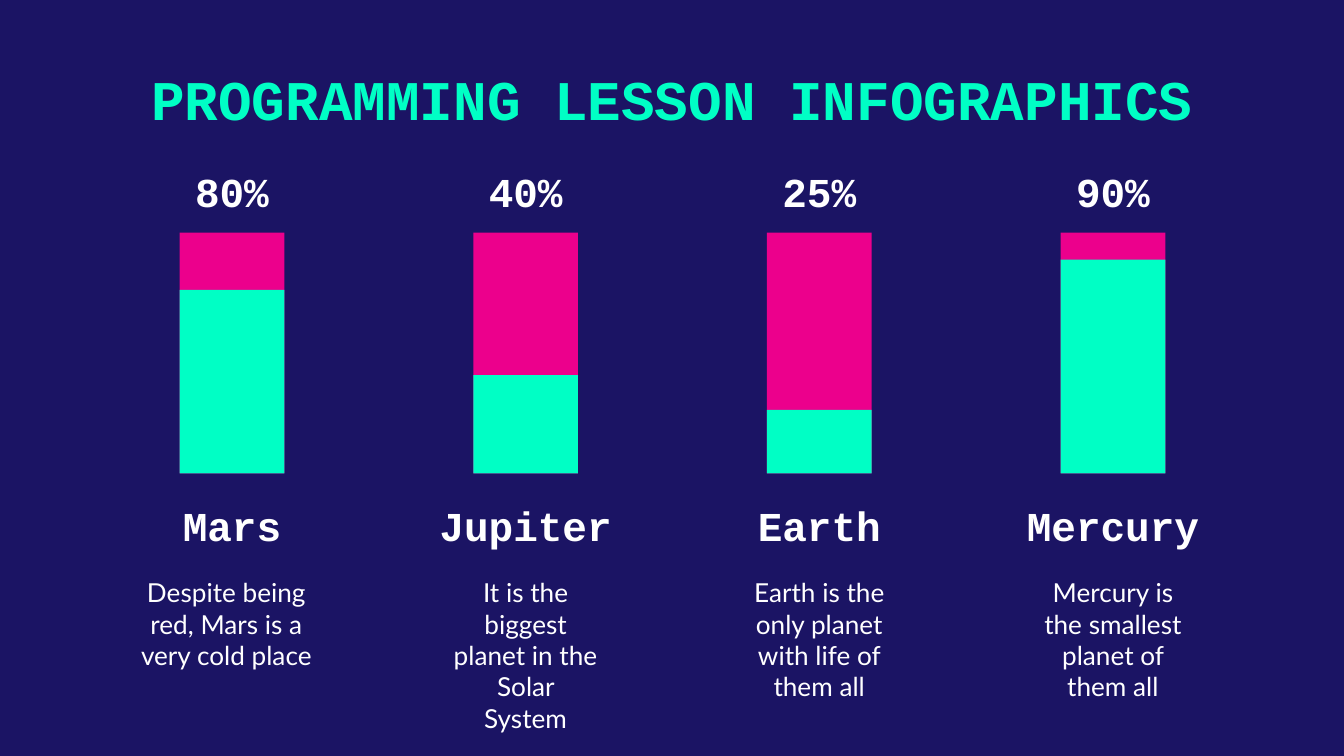
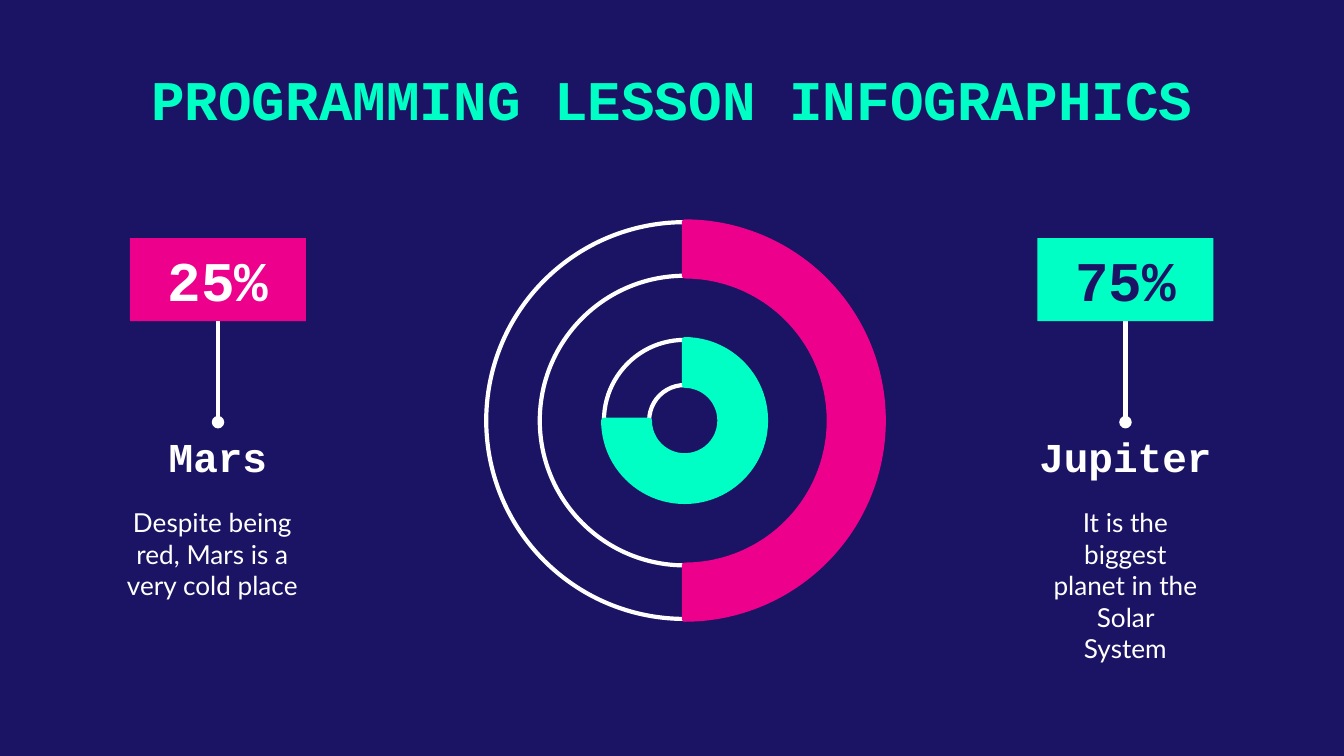
from dataclasses import dataclass
from typing import NamedTuple

from lxml.etree import SubElement
from pptx import Presentation
from pptx.dml.color import RGBColor
from pptx.enum.shapes import MSO_CONNECTOR as Link, MSO_SHAPE as Shape
from pptx.enum.text import MSO_ANCHOR as Anchor, MSO_AUTO_SIZE as AutoSize, PP_ALIGN as Align
from pptx.oxml.ns import qn
from pptx.util import Cm, Pt


@dataclass(frozen=True)
class Theme:
    """Colours, fonts, type sizes and line weights of the deck."""
    navy: RGBColor = RGBColor(0x1B, 0x14, 0x64)
    mint: RGBColor = RGBColor(0x00, 0xFF, 0xC5)
    pink: RGBColor = RGBColor(0xEC, 0x00, 0x8C)
    white: RGBColor = RGBColor(0xFF, 0xFF, 0xFF)
    display: str = "Courier New"
    text: str = "Lato"
    large: float = 30
    medium: float = 22
    small: float = 14
    rule: float = 2.25
    arc: float = 3


class Box(NamedTuple):
    """A rectangle in centimetres."""
    left: float
    top: float
    width: float
    height: float

    def inner(self, top, height, width=None):
        """Return a horizontally centred box at an offset from the top."""
        width = width or self.width
        return Box(self.left + (self.width - width) / 2, self.top + top, width, height)

    def lengths(self):
        """Return the four values as lengths."""
        return [Cm(value) for value in self]


class Planet(NamedTuple):
    """A planet's name, its description and the side insets of the description."""
    name: str
    about: str
    insets: tuple = (0.76, 0.76)


THEME = Theme()
PAD = 0.25
TITLE = "PROGRAMMING LESSON INFOGRAPHICS"
MARS = Planet("Mars", "Despite being red, Mars is a very cold place", (PAD, 0.46))
JUPITER = Planet("Jupiter", "It is the biggest planet in the Solar System")
EARTH = Planet("Earth", "Earth is the only planet with life of them all")
MERCURY = Planet("Mercury", "Mercury is the smallest planet of them all")


def write(frame, text, size, color, anchor=Anchor.TOP, font=THEME.display,
          sides=(PAD, PAD), ends=PAD):
    """Fill a text frame with one centred run."""
    frame.word_wrap = True
    frame.auto_size = AutoSize.NONE
    frame.vertical_anchor = anchor
    frame.margin_left, frame.margin_right = (Cm(side) for side in sides)
    frame.margin_top = frame.margin_bottom = Cm(ends)
    para = frame.paragraphs[0]
    para.alignment = Align.CENTER
    span = para.add_run()
    span.text = text
    span.font.name = font
    span.font.size = Pt(size)
    span.font.bold = font == THEME.display
    span.font.color.rgb = color


def add_text(shapes, box, text, size, **style):
    """Add a white text box."""
    frame = shapes.add_textbox(*box.lengths()).text_frame
    write(frame, text, size, THEME.white, **style)


def add_figure(shapes, kind, box, fill=None, line=None, weight=THEME.rule):
    """Add a preset shape with a plain fill and outline."""
    figure = shapes.add_shape(kind, *box.lengths())
    figure.shadow.inherit = False
    if fill is None:
        figure.fill.background()
    else:
        figure.fill.solid()
        figure.fill.fore_color.rgb = fill
    if line is None:
        figure.line.fill.background()
    else:
        figure.line.color.rgb = line
        figure.line.width = Pt(weight)
    return figure


def add_pin(shapes, x, top, bottom):
    """Add a vertical line that ends in a dot."""
    pin = shapes.add_connector(Link.STRAIGHT, Cm(x), Cm(top), Cm(x), Cm(bottom))
    pin.line.color.rgb = THEME.white
    pin.line.width = Pt(THEME.rule)
    SubElement(pin.line._get_or_add_ln(), qn("a:tailEnd"), type="oval")
    SubElement(pin._element.spPr, qn("a:effectLst"))


def add_caption(shapes, box, planet, name_height):
    """Add a planet's name with its description below."""
    add_text(shapes, box.inner(0, name_height), planet.name, THEME.medium,
             anchor=Anchor.BOTTOM)
    add_text(shapes, box.inner(name_height, box.height - name_height), planet.about,
             THEME.small, font=THEME.text, sides=planet.insets)


def add_bar(shapes, box, planet, share, filled):
    """Add a column with its share, a partly filled bar and a caption."""
    bar = box.inner(1.3, 4.55, 1.98)
    add_text(shapes, box.inner(0, 1.02, bar.width), share, THEME.medium,
             anchor=Anchor.MIDDLE)
    add_figure(shapes, Shape.RECTANGLE, bar, THEME.pink)
    add_figure(shapes, Shape.RECTANGLE, bar.inner(bar.height - filled, filled), THEME.mint)
    add_caption(shapes, box.inner(6.35, 3.33), planet, 1.2)


def add_badge(shapes, box, planet, share, fill, ink):
    """Add a share on a coloured badge, pinned to a caption."""
    badge = box.inner(0, 1.57, 3.33)
    caption = box.inner(3.48, 3.43)
    figure = add_figure(shapes, Shape.RECTANGLE, badge, fill)
    write(figure.text_frame, share, THEME.large, ink, anchor=Anchor.MIDDLE, ends=0)
    add_caption(shapes, caption, planet, 1.35)
    add_pin(shapes, box.left + box.width / 2, badge.top + badge.height, caption.top)


def add_ring(shapes, box, thickness, end, color):
    """Add an outlined ring, coloured clockwise from the top to an end angle."""
    ring = add_figure(shapes, Shape.DONUT, box, line=THEME.white)
    ring.adjustments[0] = thickness
    arc = add_figure(shapes, Shape.BLOCK_ARC, box, color, color, THEME.arc)
    degree = 0.6
    for index, value in enumerate((270 * degree, end * degree, thickness)):
        arc.adjustments[index] = value


def add_page(deck):
    """Add a slide with the shared title."""
    page = deck.slides.add_slide(deck.slide_layouts.get_by_name("Title Only"))
    title = page.shapes.title
    title.left, title.top, title.width, title.height = Box(2, 0.97, 21.4, 1.85).lengths()
    write(title.text_frame, TITLE, THEME.large, THEME.mint)
    return page


def build_bars(deck):
    """Build the slide with four planet bars."""
    page = add_page(deck)
    columns = ((MARS, "80%", 3.47), (JUPITER, "40%", 1.86),
               (EARTH, "25%", 1.2), (MERCURY, "90%", 4.04))
    for index, column in enumerate(columns):
        group = page.shapes.add_group_shape()
        add_bar(group.shapes, Box(2.25 + 5.55 * index, 3.1, 4.27, 9.68), *column)


def build_rings(deck):
    """Build the slide with two rings between two badges."""
    page = add_page(deck)
    for size, thickness, end, color in ((7.5, 0.135, 90, THEME.pink),
                                        (3.05, 0.28, 180, THEME.mint)):
        box = Box(12.94 - size / 2, 7.95 - size / 2, size, size)
        add_ring(page.shapes, box, thickness, end, color)
    for left, *badge in ((2, MARS, "25%", THEME.pink, THEME.white),
                         (19.15, JUPITER, "75%", THEME.mint, THEME.navy)):
        group = page.shapes.add_group_shape()
        add_badge(group.shapes, Box(left, 4.5, 4.24, 6.91), *badge)


def main():
    """Build and save the deck."""
    deck = Presentation()
    deck.slide_width, deck.slide_height = Cm(25.4), Cm(14.29)
    backdrop = deck.slide_master.background.fill
    backdrop.solid()
    backdrop.fore_color.rgb = THEME.navy
    build_bars(deck)
    build_rings(deck)
    deck.save("out.pptx")


if __name__ == "__main__":
    main()
